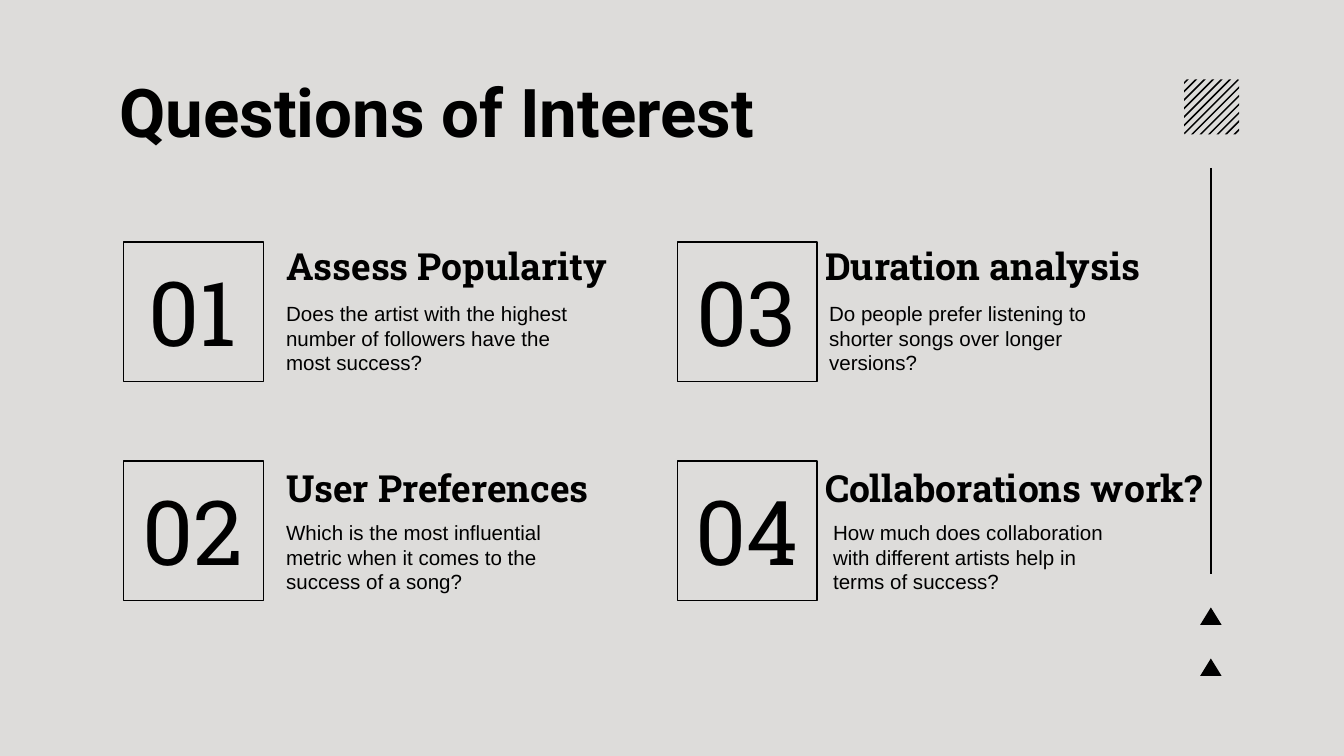
from lxml import etree
from pptx import Presentation
from pptx.dml.color import RGBColor
from pptx.enum.shapes import MSO_CONNECTOR, MSO_SHAPE
from pptx.enum.text import MSO_ANCHOR, PP_ALIGN
from pptx.oxml.ns import qn
from pptx.util import Inches, Pt

RECT = MSO_SHAPE.RECTANGLE
STRAIGHT = MSO_CONNECTOR.STRAIGHT
TOP, MIDDLE = MSO_ANCHOR.TOP, MSO_ANCHOR.MIDDLE
LEFT, CENTER = PP_ALIGN.LEFT, PP_ALIGN.CENTER

# Content: column by column
TITLE = "Questions of Interest"
QUESTIONS = [
    ("01", "Assess Popularity",
     "Does the artist with the highest number of followers have the most success?"),
    ("02", "User Preferences",
     "Which is the most influential metric when it comes to the success of a song?"),
    ("03", "Duration analysis",
     "Do people prefer listening to shorter songs over longer versions?"),
    ("04", "Collaborations work?",
     "How much does collaboration with different artists help in terms of success?"),
]
COLORS = {"paper": "DDDCDA", "ink": "000000"}

# Grid, in inches; the slide is 16:9
SLIDE_W = 10
SLIDE_H = SLIDE_W * 9 / 16
COLUMNS = [0.92, 5.04]
ROWS = [1.8, 3.43]
BOX = 1.04
HEADING_X = [2.03, 6.04]
HEADING_Y = [1.71, 3.36]
HEADING_W = 3.29
BODY_X = [2.03, 2.03, 6.07, 6.1]
BODY_W = 2.31
RAIL_X = 9.01
HATCH_X, HATCH_Y, HATCH_SIDE, STRIPES = 8.81, 0.59, 0.41, 13


def color(name):
    return RGBColor.from_string(COLORS[name])


def add_text(left, top, width, height, text, size, font,
             bold=False, align=LEFT, anchor=TOP):
    frame = slide.shapes.add_textbox(
        Inches(left), Inches(top), Inches(width), Inches(height)).text_frame
    frame.word_wrap = True
    frame.vertical_anchor = anchor
    frame.margin_left = frame.margin_right = Inches(0.1)
    frame.margin_top = frame.margin_bottom = Inches(0.1)
    paragraph = frame.paragraphs[0]
    paragraph.text = text
    paragraph.alignment = align
    paragraph.font.size = Pt(size)
    paragraph.font.name = font
    paragraph.font.bold = bold
    paragraph.font.color.rgb = color("ink")


def add_outline(contours):
    """Draw closed contours, given in inches, as one solid ink shape."""
    contours = [[(Inches(x), Inches(y)) for x, y in points] for points in contours]
    builder = slide.shapes.build_freeform(*contours[0][0])
    for index, (start, *rest) in enumerate(contours):
        if index:
            builder.move_to(*start)
        builder.add_line_segments(rest, close=True)
    outline = builder.convert_to_shape()
    outline.shadow.inherit = False
    outline.fill.solid()
    outline.fill.fore_color.rgb = color("ink")
    outline.line.fill.background()


def diagonal(reach):
    """Ends of the hatch diagonal on which x + y equals reach."""
    over = max(0, reach - HATCH_SIDE)
    near = reach - over
    return [(HATCH_X + over, HATCH_Y + near), (HATCH_X + near, HATCH_Y + over)]


prs = Presentation()
prs.slide_width, prs.slide_height = Inches(SLIDE_W), Inches(SLIDE_H)
slide = prs.slides.add_slide(prs.slide_layouts[6])
slide.background.fill.solid()
slide.background.fill.fore_color.rgb = color("paper")

# Right-hand rail: triangles, line and hatched square
for base in (4.65, 5.03):
    add_outline([[(RAIL_X - 0.08, base), (RAIL_X, base - 0.13), (RAIL_X + 0.08, base)]])

rail = slide.shapes.add_connector(
    STRAIGHT, Inches(RAIL_X), Inches(1.25), Inches(RAIL_X), Inches(4.27))
rail.line.color.rgb = color("ink")
rail.line.width = Pt(0.75)
etree.SubElement(rail._element.spPr, qn("a:effectLst"))

pitch = 2 * HATCH_SIDE / STRIPES
starts = [0.02 + pitch * n for n in range(STRIPES)]
add_outline([diagonal(start) + diagonal(start + pitch / 4)[::-1] for start in starts])

# Title
add_text(0.79, 0.42, 5.19, 0.67, TITLE, 36, "Roboto", bold=True)

# Numbered questions
for index, (number, heading, body) in enumerate(QUESTIONS):
    column, row = divmod(index, len(ROWS))
    left, top = COLUMNS[column], ROWS[row]
    box = slide.shapes.add_shape(RECT, Inches(left), Inches(top), Inches(BOX), Inches(BOX))
    box.shadow.inherit = False
    box.fill.solid()
    box.fill.fore_color.rgb = color("paper")
    box.line.color.rgb = color("ink")
    box.line.width = Pt(0.75)
    add_text(left + 0.03, top + 0.13, 0.97, 0.77, number, 48, "Roboto Slab",
             align=CENTER, anchor=MIDDLE)
    add_text(HEADING_X[column], HEADING_Y[row], HEADING_W, 0.41, heading, 20,
             "Roboto Slab", bold=True)
    add_text(BODY_X[index], top + 0.34, BODY_W, 0.77, body, 11, "Arial")

prs.save("out.pptx")
